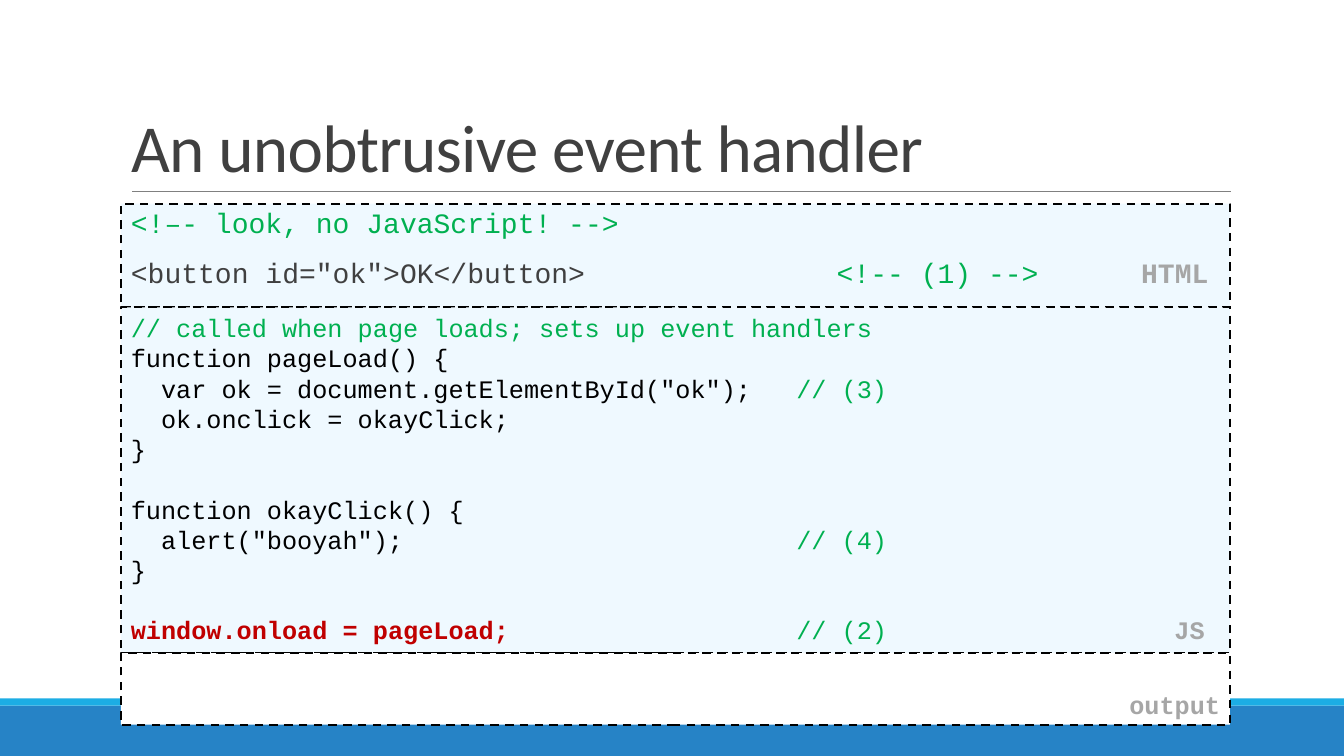
from lxml import etree
from pptx import Presentation
from pptx.dml.color import RGBColor
from pptx.enum import dml, shapes, text
from pptx.oxml import ns
from pptx.util import Inches, Pt

WHITE = RGBColor(0xFF, 0xFF, 0xFF)
BLACK = RGBColor(0, 0, 0)
DARK = RGBColor(0x40, 0x40, 0x40)
RULE = RGBColor(0x80, 0x80, 0x80)
LABEL = RGBColor(0xA6, 0xA6, 0xA6)
GREEN = RGBColor(0x00, 0xB0, 0x50)
RED = RGBColor(0xC0, 0x00, 0x00)
PALE = RGBColor(0xEF, 0xF9, 0xFF)
BLUE = RGBColor(0x26, 0x83, 0xC6)
CYAN = RGBColor(0x1C, 0xAD, 0xE4)

PANEL_LEFT, PANEL_WIDTH = 1.2, 11
LINE_HEIGHT = 21.6

HTML_LINES = [
    (0, [("<!–- look, no JavaScript! -->", GREEN, False)]),
    (14, [('<button id="ok">OK</button>', DARK, False),
          ("\t<!-- (1) -->", GREEN, False), ("\tHTML", LABEL, True)]),
]
JS_LINES = [
    (0, [("// called when page loads; sets up event handlers", GREEN, False)]),
    (0, [("function pageLoad() {", BLACK, False)]),
    (0, [('\tvar ok = document.getElementById("ok");', BLACK, False),
         ("\t// (3)", GREEN, False)]),
    (0, [("\tok.onclick = okayClick;", BLACK, False)]),
    (0, [("}", BLACK, False)]),
    (LINE_HEIGHT, [("function okayClick() {", BLACK, False)]),
    (0, [('\talert("booyah");', BLACK, False), ("\t// (4)", GREEN, False)]),
    (0, [("}", BLACK, False)]),
    (LINE_HEIGHT, [("window.onload = pageLoad;", RED, True),
                   ("\t// (2)", GREEN, False), ("\tJS", LABEL, True)]),
]
OUTPUT_LINES = [(0, [("output", LABEL, True)])]


def add_rectangle(slide, left, top, width, height, fill):
    shape = slide.shapes.add_shape(
        shapes.MSO_SHAPE.RECTANGLE,
        Inches(left), Inches(top), Inches(width), Inches(height))
    shape.shadow.inherit = False
    shape.fill.solid()
    shape.fill.fore_color.rgb = fill
    shape.line.fill.background()
    return shape


def add_rule(slide, left, right, top):
    line = slide.shapes.add_connector(
        shapes.MSO_CONNECTOR.STRAIGHT,
        Inches(left), Inches(top), Inches(right), Inches(top))
    line.line.color.rgb = RULE
    line.line.width = Pt(0.5)
    properties = line._element.find(ns.qn("p:spPr"))
    etree.SubElement(properties, ns.qn("a:effectLst"))


def set_tabs(paragraph, stops):
    properties = paragraph._p.get_or_add_pPr()
    tab_list = etree.SubElement(properties, ns.qn("a:tabLst"))
    for stop in stops:
        etree.SubElement(tab_list, ns.qn("a:tab"), pos=str(Inches(stop)), algn="l")


def add_run(paragraph, content, font_name, size, color, bold=False):
    run = paragraph.add_run()
    run.text = content
    run.font.name = font_name
    run.font.size = Pt(size)
    run.font.bold = bold
    run.font.color.rgb = color
    return run


def add_code_panel(slide, top, height, fill, lines, size, stops=(),
                   anchor=text.MSO_ANCHOR.TOP, alignment=text.PP_ALIGN.LEFT):
    panel = add_rectangle(slide, PANEL_LEFT, top, PANEL_WIDTH, height, fill)
    panel.line.color.rgb = BLACK
    panel.line.width = Pt(1.5)
    panel.line.dash_style = dml.MSO_LINE.DASH
    frame = panel.text_frame
    frame.word_wrap = True
    frame.vertical_anchor = anchor
    for index, (space_before, runs) in enumerate(lines):
        paragraph = frame.add_paragraph() if index else frame.paragraphs[0]
        paragraph.alignment = alignment
        paragraph.line_spacing = Pt(LINE_HEIGHT)
        paragraph.space_before = Pt(space_before)
        if stops:
            set_tabs(paragraph, stops)
        for content, color, bold in runs:
            add_run(paragraph, content, "Courier New", size, color, bold)


def set_title(slide, content):
    title = slide.shapes.title
    title.left, title.top = Inches(1.2), Inches(0.31)
    title.width, title.height = Inches(11), Inches(1.59)
    frame = title.text_frame
    frame.auto_size = text.MSO_AUTO_SIZE.NONE
    frame.word_wrap = True
    frame.vertical_anchor = text.MSO_ANCHOR.BOTTOM
    paragraph = frame.paragraphs[0]
    paragraph.alignment = text.PP_ALIGN.LEFT
    paragraph.line_spacing = 0.85
    run = add_run(paragraph, content, "Calibri", 48, DARK)
    run.font._element.set("spc", "-50")


def main():
    presentation = Presentation()
    presentation.slide_width = Inches(13.33)
    presentation.slide_height = Inches(7.5)
    slide = presentation.slides.add_slide(presentation.slide_layouts[5])

    add_rectangle(slide, 0, 7, 13.33, 0.5, BLUE)
    add_rectangle(slide, 0, 6.93, 13.33, 0.07, CYAN)
    add_rule(slide, 1.31, 12.21, 1.9)
    set_title(slide, "An unobtrusive event handler")

    add_code_panel(slide, 2.02, 1.03, PALE, HTML_LINES, 20, (7, 10.02))
    add_code_panel(slide, 3.05, 3.43, PALE, JS_LINES, 18, (0.3, 6.6, 10.35))
    add_code_panel(slide, 6.48, 0.71, WHITE, OUTPUT_LINES, 18,
                   anchor=text.MSO_ANCHOR.BOTTOM, alignment=text.PP_ALIGN.RIGHT)
    presentation.save("out.pptx")


if __name__ == "__main__":
    main()
